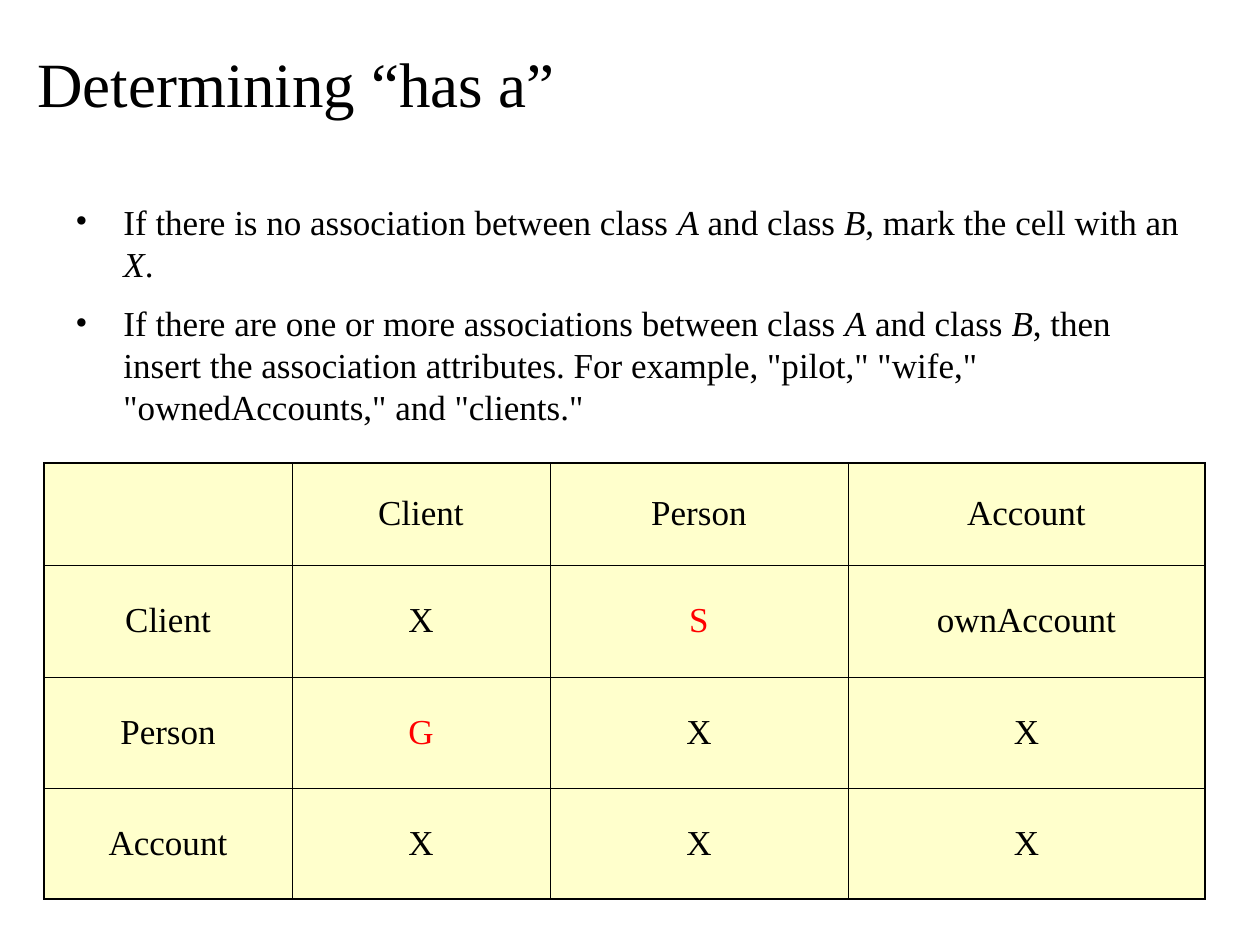
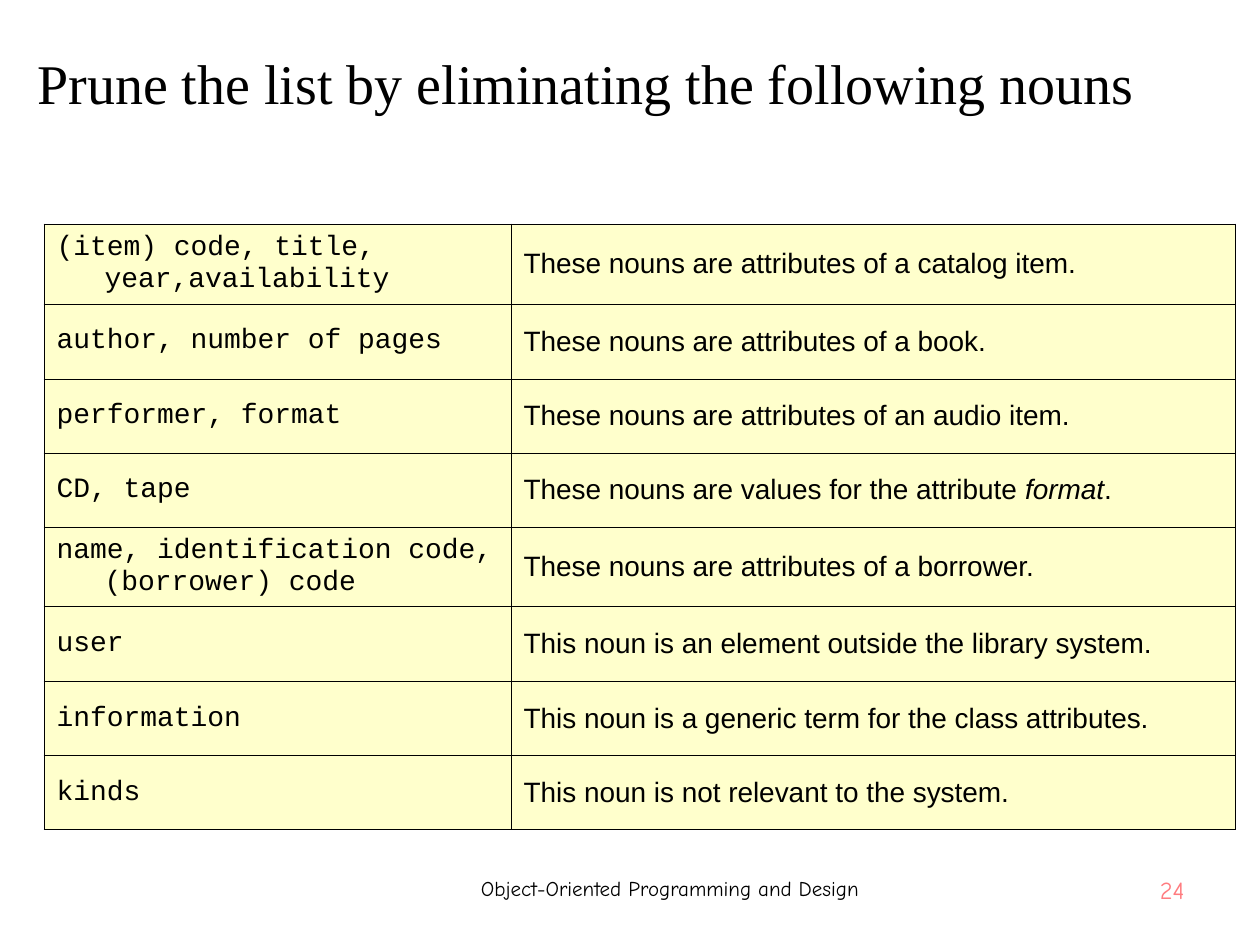
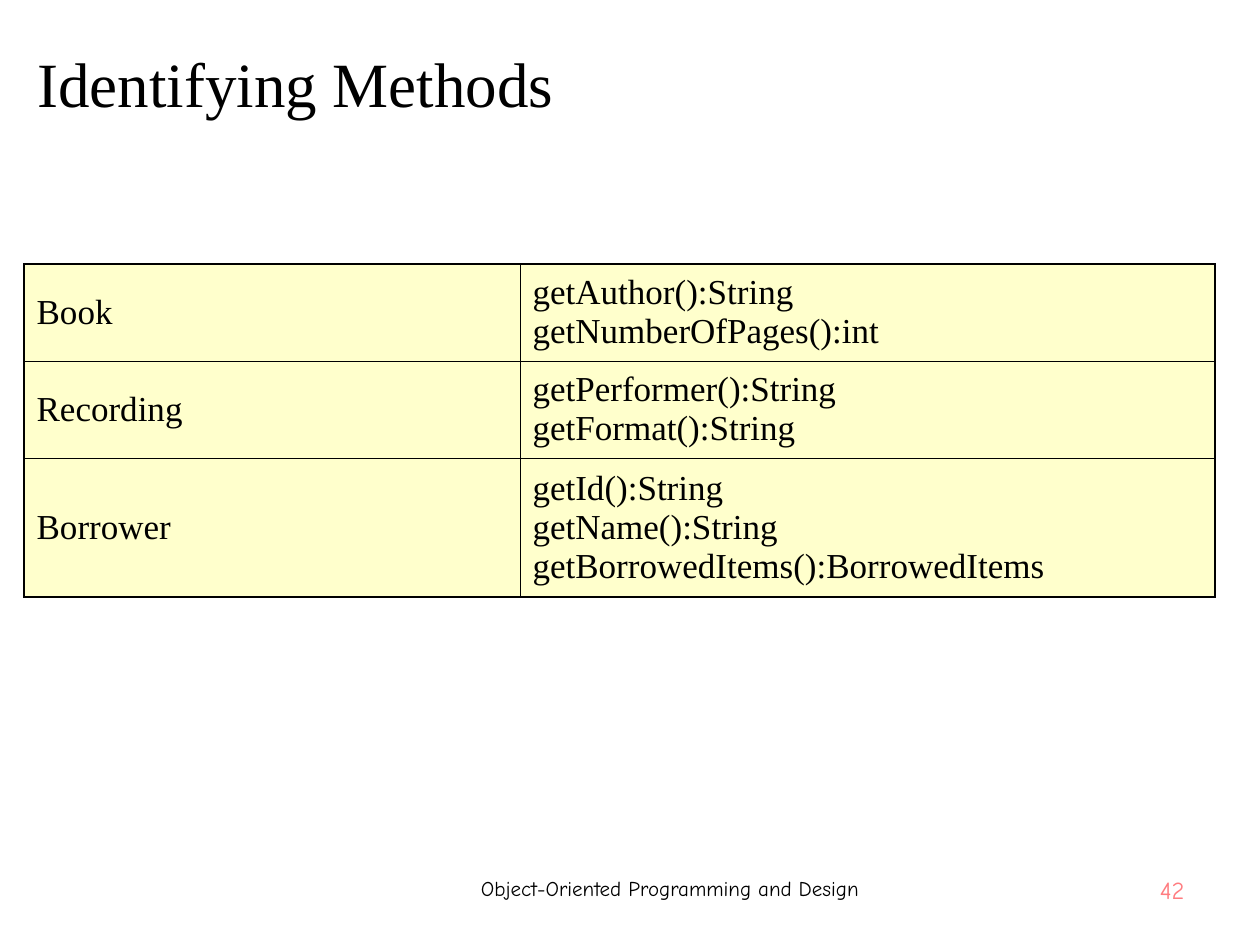
import lxml.etree
import pptx
import pptx.dml.color
import pptx.enum.text
import pptx.oxml.ns
import pptx.util

ALIGN = pptx.enum.text.PP_ALIGN
MIDDLE = pptx.enum.text.MSO_ANCHOR.MIDDLE
TOP = pptx.enum.text.MSO_ANCHOR.TOP
SERIF, SANS, MONO, COMIC = "Times New Roman", "Arial", "Courier New", "Comic Neue"
BLACK, RED, PINK, CREAM = "000000", "FF0000", "FF7C80", "FFFFCC"
THIN, THICK = 0.45, 1.08
HANG = 48
COURSE = "Object-Oriented Programming and Design"


def px(num):
    return pptx.util.Emu(round(num * 914400 / 126))


def color(code):
    return pptx.dml.color.RGBColor.from_string(code)


def child(node, tag, **attrs):
    return lxml.etree.SubElement(node, pptx.oxml.ns.qn(tag), attrs)


def write(frame, texts, size=20, font=SERIF, tint=BLACK, align=ALIGN.LEFT,
          hang=0, bullet=None, gap=0, line=None):
    for num, text in enumerate(texts):
        para = frame.add_paragraph() if num else frame.paragraphs[0]
        props = para._p.get_or_add_pPr()
        if hang:
            props.set("marL", str(px(hang)))
            props.set("indent", str(-px(hang)))
        if bullet:
            tone = child(props, "a:buClr")
            child(tone, "a:srgbClr", val=tint)
            child(props, "a:buFont", typeface=font)
            child(props, "a:buChar", char=bullet)
        para.alignment = align
        if line:
            para.line_spacing = pptx.util.Pt(line)
        if gap:
            para.space_after = pptx.util.Pt(gap)
            if num:
                para.space_before = pptx.util.Pt(gap)
        for row, part in enumerate(text.split("\n")):
            if row:
                para.add_line_break()
            for turn, piece in enumerate(part.split("*")):
                if piece:
                    run = para.add_run()
                    run.text = piece
                    run.font.size = pptx.util.Pt(size)
                    run.font.name = font
                    run.font.italic = turn % 2 == 1
                    run.font.color.rgb = color(tint)


def label(slide, box, texts, anchor=TOP, **style):
    frame = slide.shapes.add_textbox(*map(px, box)).text_frame
    frame.word_wrap = True
    frame.vertical_anchor = anchor
    write(frame, texts, **style)


def edge(cell, widths):
    props = cell._tc.get_or_add_tcPr()
    for spot, (side, width) in enumerate(zip("LRTB", widths)):
        rule = child(props, "a:ln" + side, w=str(pptx.util.Pt(width)))
        child(child(rule, "a:solidFill"), "a:srgbClr", val=BLACK)
        props.insert(spot, rule)


def grid(slide, left, top, cols, rows, cells, style, rim=THICK):
    box = (left, top, sum(cols), sum(rows))
    table = slide.shapes.add_table(len(rows), len(cols), *map(px, box)).table
    table.first_row = table.horz_banding = False
    for col, width in zip(table.columns, cols):
        col.width = px(width)
    for row, height in zip(table.rows, rows):
        row.height = px(height)
    for i, line in enumerate(cells):
        for j, text in enumerate(line):
            cell = table.cell(i, j)
            cell.fill.solid()
            cell.fill.fore_color.rgb = color(CREAM)
            outer = (j == 0, j == len(cols) - 1, i == 0, i == len(rows) - 1)
            edge(cell, [rim if out else THIN for out in outer])
            cell.vertical_anchor = MIDDLE
            cell.margin_left = cell.margin_right = pptx.util.Inches(0.1)
            cell.margin_top = cell.margin_bottom = pptx.util.Inches(0.05)
            write(cell.text_frame, [text], **style(j, text))


def start(deck, title, size=36, page=None):
    slide = deck.slides.add_slide(deck.slide_layouts[6])
    if page:
        label(slide, (1057, 869, 140, 57), [page], size=14, font=COMIC,
              tint=PINK, align=ALIGN.RIGHT)
        label(slide, (382, 869, 576, 57), [COURSE], size=12, font=COMIC,
              align=ALIGN.CENTER)
    label(slide, (25, 27, 1211, 110), [title], anchor=MIDDLE, size=size)
    return slide


def links(deck):
    slide = start(deck, "Determining “has a”")
    label(slide, (63, 194, 1129, 665), [
        "If there is no association between class *A* and class *B*, "
        "mark the cell with an *X*.",
        "If there are one or more associations between class *A* and class *B*, "
        "then insert the association attributes. For example, \"pilot,\" "
        "\"wife,\" \"ownedAccounts,\" and \"clients.\"",
    ], hang=HANG, bullet="•", gap=5, line=24)
    cells = [
        ("", "Client", "Person", "Account"),
        ("Client", "X", "S", "ownAccount"),
        ("Person", "G", "X", "X"),
        ("Account", "X", "X", "X"),
    ]
    grid(slide, 44, 463, (248, 258, 298, 357), (102, 112, 111, 111), cells,
         lambda col, text: {"align": ALIGN.CENTER,
                            "tint": RED if text in ("S", "G") else BLACK})


def nouns(deck):
    slide = start(deck, "Prune the list by eliminating the following nouns",
                  size=32, page="24")
    cells = [
        ("(item) code, title, year,availability",
         "These nouns are attributes of a catalog item."),
        ("author, number of pages", "These nouns are attributes of a book."),
        ("performer, format", "These nouns are attributes of an audio item."),
        ("CD, tape", "These nouns are values for the attribute *format*."),
        ("name, identification code, (borrower) code",
         "These nouns are attributes of a borrower."),
        ("user", "This noun is an element outside the library system."),
        ("information", "This noun is a generic term for the class attributes."),
        ("kinds", "This noun is not relevant to the system."),
    ]
    grid(slide, 44, 224, (467, 724), (80, 75, 74, 74) * 2, cells,
         lambda col, text: {"size": 16, "font": SANS if col else MONO,
                            "hang": HANG}, rim=THIN)


def methods(deck):
    slide = start(deck, "Identifying Methods", page="42")
    cells = [
        ("Book", "getAuthor():String\ngetNumberOfPages():int"),
        ("Recording", "getPerformer():String\ngetFormat():String"),
        ("Borrower", "getId():String\ngetName():String\n"
                     "getBorrowedItems():BorrowedItems"),
    ]
    grid(slide, 24, 264, (496, 695), (97, 97, 139), cells,
         lambda col, text: {})


def main():
    deck = pptx.Presentation()
    deck.slide_width, deck.slide_height = px(1260), px(945)
    for build in (links, nouns, methods):
        build(deck)
    deck.save("out.pptx")


if __name__ == "__main__":
    main()
